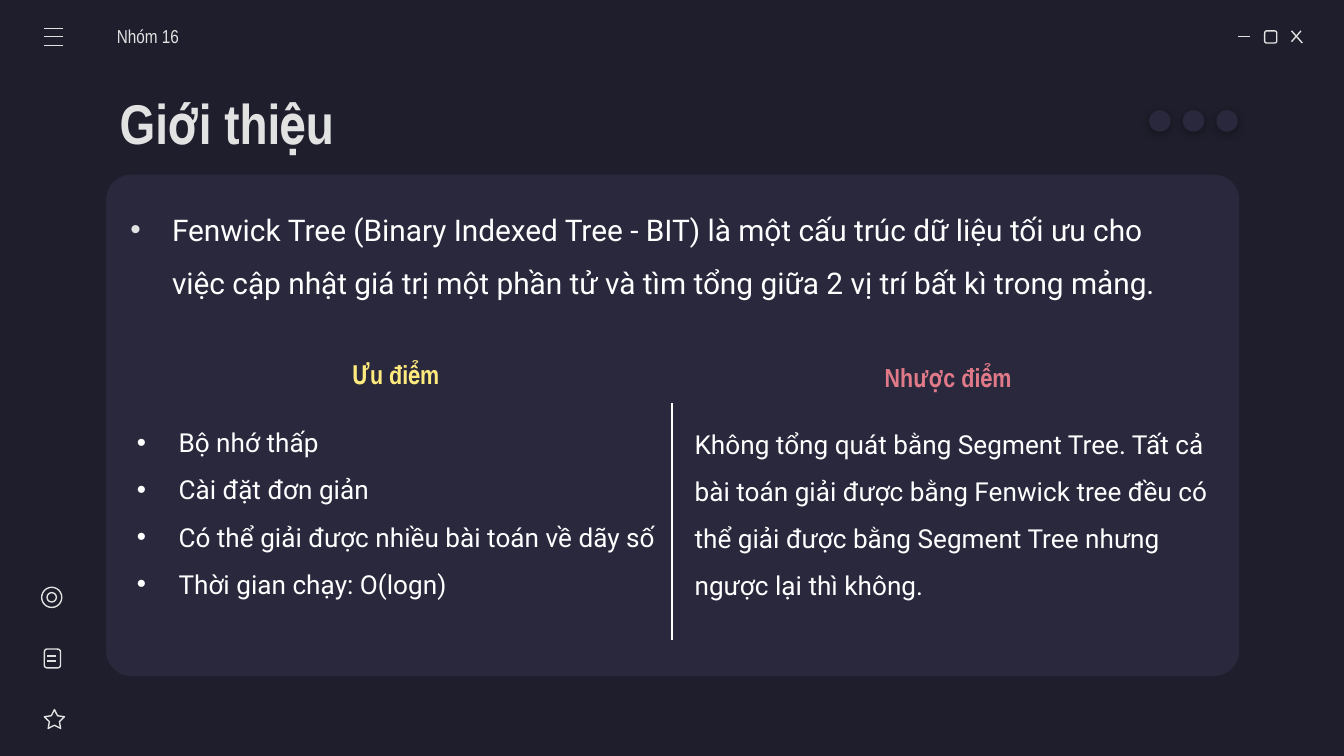
from lxml import etree
from pptx import Presentation
from pptx.dml.color import RGBColor
from pptx.enum.shapes import MSO_CONNECTOR, MSO_SHAPE
from pptx.enum.text import MSO_ANCHOR, MSO_AUTO_SIZE, PP_ALIGN
from pptx.oxml.ns import qn
from pptx.util import Inches, Pt

LINE = MSO_CONNECTOR.STRAIGHT
ROUND = MSO_SHAPE.ROUNDED_RECTANGLE
OVAL = MSO_SHAPE.OVAL
STAR = MSO_SHAPE.STAR_5_POINT
LEFT, CENTER = PP_ALIGN.LEFT, PP_ALIGN.CENTER
TOP, MIDDLE = MSO_ANCHOR.TOP, MSO_ANCHOR.MIDDLE
FIXED = MSO_AUTO_SIZE.NONE

HEAD, BODY = "Arial Narrow", "Roboto"
DARK, CARD, PALE, WHITE = "1E1E2C", "29283D", "E2E2E2", "FFFFFF"

GROUP = "Nhóm 16"
TITLE = "Giới thiệu"
INTRO = ["Fenwick\u00a0Tree (Binary Indexed Tree - BIT) là một cấu trúc dữ liệu tối ưu cho "
         "việc cập nhật giá trị một phần tử và tìm tổng giữa 2 vị trí bất kì trong mảng."]
SIDES = [
    {"name": "Ưu điểm", "color": "FFEA7D", "head": (2.37, 2.62), "box": (0.42, 3.01, 4.58, 1.75),
     "indent": 0.81,
     "items": ["Bộ nhớ thấp", "Cài đặt đơn giản",
               "Có thể giải được nhiều bài toán về dãy số", "Thời gian chạy: O(logn)"]},
    {"name": "Nhược điểm", "color": "E07A88", "head": (6.48, 2.64), "box": (5.07, 3.02, 4.13, 1.47),
     "indent": 0,
     "items": ["Không tổng quát bằng Segment Tree. Tất cả bài toán giải được bằng Fenwick tree "
               "đều có thể giải được bằng Segment Tree nhưng ngược lại thì không."]},
]
MENU = [(0.33, y, 0.47, y) for y in (0.21, 0.27, 0.34)]
CLOSE = [(9.21, 0.27, 9.3, 0.27), (9.61, 0.23, 9.69, 0.32), (9.68, 0.23, 9.61, 0.31)]
NOTE = [(0.35, y, 0.42, y) for y in (4.88, 4.92)]
ICONS = [
    (ROUND, (9.41, 0.23, 0.09, 0.09), ()),
    (STAR, (0.33, 5.28, 0.15, 0.14), (0.25, 1.05, 1.11)),
    (ROUND, (0.33, 4.83, 0.12, 0.14), ()),
    (OVAL, (0.31, 4.37, 0.15, 0.15), ()),
    (OVAL, (0.35, 4.41, 0.07, 0.07), ()),
]
DOTS, DOT, STEP = 3, 0.16, 0.25

deck = Presentation()
deck.slide_width = Inches(10)
deck.slide_height = deck.slide_width * 9 // 16
slide = deck.slides.add_slide(deck.slide_layouts[1])
shapes = slide.shapes


def rgb(code):
    return RGBColor.from_string(code)


def add(parent, tag, **attrs):
    return etree.SubElement(parent, qn(tag), attrs)


def draw(kind, box, fill=None, line=None, adj=()):
    shape = shapes.add_shape(kind, *map(Inches, box))
    shape.shadow.inherit = False
    for i, value in enumerate(adj):
        shape.adjustments[i] = value
    if fill:
        shape.fill.solid()
        shape.fill.fore_color.rgb = rgb(fill)
    else:
        shape.fill.background()
    if line:
        shape.line.color.rgb = rgb(line)
        shape.line.width = Pt(0.75)
    else:
        shape.line.fill.background()
    return shape


def rule(ends, color=PALE):
    line = shapes.add_connector(LINE, *map(Inches, ends))
    line.line.color.rgb = rgb(color)
    line.line.width = Pt(0.75)
    add(line._element.spPr, "a:effectLst")


def bullet(para, color, indent):
    props = para._p.get_or_add_pPr()
    props.set("marL", str(Inches(indent)))
    props.set("indent", str(Inches(-0.31)))
    add(add(props, "a:buClr"), "a:srgbClr", val=color)
    add(props, "a:buFont", typeface="Arial")
    add(props, "a:buChar", char="•")


def write(box, lines, size, font, color, bold=False, align=LEFT, anchor=TOP,
          space=1, indent=0, mark=WHITE, pads=(0.1, 0.05, 0.1, 0.05), holder=None):
    shape = holder or shapes.add_textbox(0, 0, 0, 0)
    shape.left, shape.top, shape.width, shape.height = map(Inches, box)
    frame = shape.text_frame
    frame.word_wrap, frame.auto_size, frame.vertical_anchor = True, FIXED, anchor
    (frame.margin_left, frame.margin_top,
     frame.margin_right, frame.margin_bottom) = map(Inches, pads)
    frame.text = "\n".join(lines)
    for para in frame.paragraphs:
        if indent:
            bullet(para, mark, indent)
        para.alignment, para.line_spacing = align, space
        para.space_before = Pt(0)
        para.font.size, para.font.name, para.font.bold = Pt(size), font, bold
        para.font.color.rgb = rgb(color)


slide.background.fill.solid()
slide.background.fill.fore_color.rgb = rgb(DARK)
panel = draw(ROUND, (0.79, 1.3, 8.43, 3.73), fill=CARD, adj=[0.05])
shapes._spTree.insert(2, panel._element)

for ends in MENU + CLOSE + NOTE:
    rule(ends)
for kind, box, adj in ICONS:
    draw(kind, box, line=PALE, adj=adj)
for i in range(DOTS):
    dot = draw(OVAL, (8.55 + i * STEP, 0.82, DOT, DOT), fill=CARD)
    glow = add(dot._element.spPr.find(qn("a:effectLst")), "a:outerShdw",
               blurRad=str(Pt(4.5)), dist=str(Pt(1.5)), dir="5400000", rotWithShape="0")
    add(add(glow, "a:srgbClr", val="000000"), "a:alpha", val="30000")

write((0.87, 0.12, 1.17, 0.3), [GROUP], 10, HEAD, PALE, anchor=MIDDLE, pads=(0, 0.1, 0.1, 0.1))
write((0.79, 0.59, 8.43, 0.63), [TITLE], 30, HEAD, PALE, bold=True, anchor=MIDDLE,
      pads=[0.1] * 4, holder=shapes.title)
write((0.87, 1.34, 8.18, 1.11), INTRO, 16, BODY, WHITE, space=1.5, indent=0.31, mark=PALE,
      pads=[0.1] * 4, holder=slide.placeholders[1])
rule((5, 3, 5, 4.76), WHITE)
for side in SIDES:
    write((*side["head"], 1.15, 0.34), [side["name"]], 14, HEAD, side["color"],
          bold=True, align=CENTER)
    write(side["box"], side["items"], 14, BODY, WHITE, space=1.5, indent=side["indent"])

deck.save("out.pptx")
